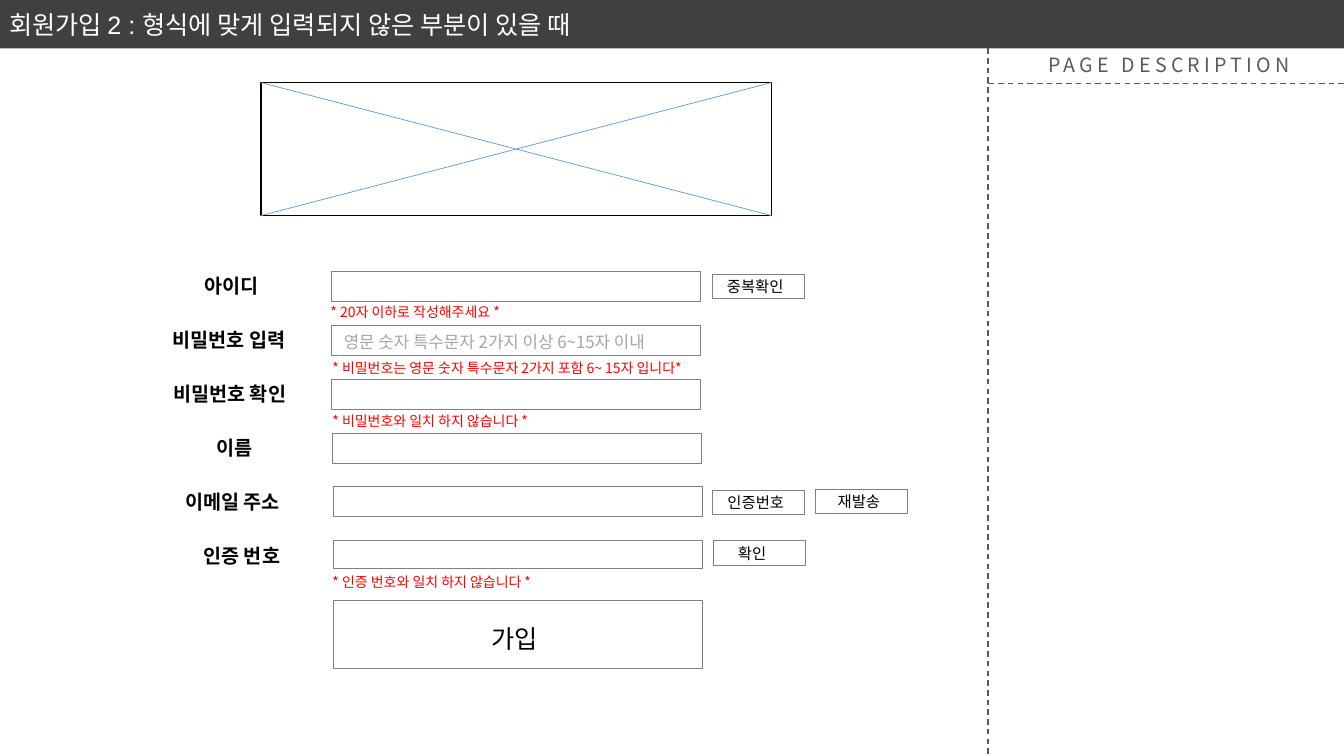
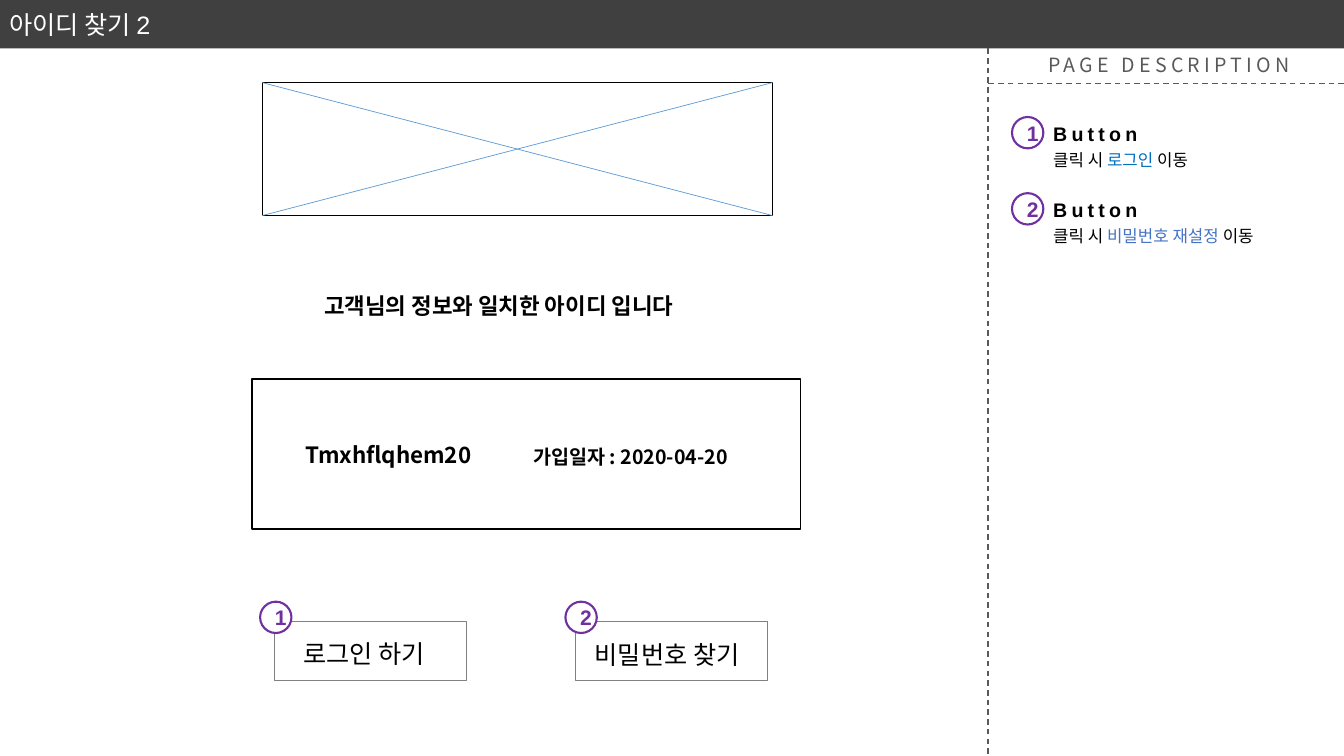
"""Build two wireframe slides: sign-up errors and the found-ID page."""
from lxml.etree import SubElement
from pptx import Presentation
from pptx.dml.color import RGBColor as RGB
from pptx.enum.dml import MSO_LINE
from pptx.enum.shapes import MSO_CONNECTOR, MSO_SHAPE
from pptx.enum.text import MSO_ANCHOR, MSO_AUTO_SIZE, PP_ALIGN
from pptx.oxml.ns import qn
from pptx.util import Pt

WHITE, BLACK = RGB(255, 255, 255), RGB(0, 0, 0)
BAND, RULE, BORDER = RGB(0x40, 0x40, 0x40), RGB(0x59, 0x59, 0x59), RGB(0x80, 0x80, 0x80)
CROSS, HINT, ERROR = RGB(0x5B, 0x9B, 0xD5), RGB(0xA6, 0xA6, 0xA6), RGB(255, 0, 0)
PURPLE, LINK, LINK_ALT = RGB(0x70, 0x30, 0xA0), RGB(0, 0x70, 0xC0), RGB(0x44, 0x72, 0xC4)
KOREAN, LATIN = "Noto Sans CJK KR", "Arial"

W, H = 960, 540
BAND_H, SIDE_X, SIDE_Y = 34.5, 705.6, 59.6
ROW_Y, ROW_STEP = 193.7, 38.5
FIELD_W, BUTTON_W, BUTTON_H, BADGE = 263.5, 65.7, 17.6, 22.4

SIGN_UP = "회원가입 2 : 형식에 맞게 입력되지 않은 부분이 있을 때"
# label, label x, field x, field height, error (text, x, offset), buttons (text, x, offset, indent)
ROWS = [
    ("아이디", 139, 237, 21.8, ("* 20자 이하로 작성해주세요 *", 229, 19.4),
     [("중복확인", 509, 2, 10.2)]),
    ("비밀번호 입력", 116, 237, 21.8,
     ("* 비밀번호는 영문 숫자 특수문자 2가지 포함 6~ 15자 입니다*", 230.4, 20.9), []),
    ("비밀번호 확인", 116.7, 237, 21.8, ("* 비밀번호와 일치 하지 않습니다 *", 230.4, 20.3), []),
    ("이름", 147.6, 237.7, 21.8, None, []),
    ("이메일 주소", 125.2, 238.3, 21.3, None,
     [("인증번호", 509, 2.2, 10.6), ("재발송", 582.4, 1.5, 15.9)]),
    ("인증 번호", 138.2, 238.3, 20, ("* 인증 번호와 일치 하지 않습니다 *", 230.4, 20),
     [("확인", 509.5, 0, 17.6)]),
]
FIELD_HINT = "영문 숫자 특수문자 2가지 이상 6~15자 이내"

FIND_ID = "아이디 찾기 2"
FOUND = [
    ("고객님의 정보와 일치한 아이디 입니다", 224.6, 205.2, 16),
    ("Tmxhflqhem20", 211, 311.8, 16),
    ("가입일자 : 2020-04-20", 373.7, 314, 14),
]
# button text, x, indent, drop, badge x
ACTIONS = [("로그인 하기", 196, 20.6, 1.8, 185.8), ("비밀번호 찾기", 411, 13.8, 2.3, 403.9)]
DESCRIPTIONS = [("로그인 ", LINK), ("비밀번호 재설정 ", LINK_ALT)]


def style(r, size, color, font=KOREAN, bold=False, spacing=0):
    r.font.size, r.font.bold, r.font.name = Pt(size), bold, font
    r.font.color.rgb = color
    rpr = r.font._element
    SubElement(rpr, qn("a:ea")).set("typeface", KOREAN)
    if spacing:
        rpr.set("spc", str(spacing * 100))


def set_insets(tf, left=0, top=0, right=0, bottom=0):
    tf.margin_left, tf.margin_top = Pt(left), Pt(top)
    tf.margin_right, tf.margin_bottom = Pt(right), Pt(bottom)


def add_text(slide, parts, x, y, w, size, color=BLACK, **look):
    sp = slide.shapes.add_textbox(Pt(x), Pt(y), Pt(w), Pt(size * 1.75))
    tf = sp.text_frame
    tf.word_wrap = True
    parts = [(parts, color)] if isinstance(parts, str) else parts
    for text, tint in parts:
        r = tf.paragraphs[0].add_run()
        r.text = text
        style(r, size, tint, **look)


def add_box(slide, x, y, w, h, line=BORDER, weight=0.5, kind=MSO_SHAPE.RECTANGLE):
    sp = slide.shapes.add_shape(kind, Pt(x), Pt(y), Pt(w), Pt(h))
    sp.shadow.inherit = False
    sp.fill.background()
    sp.line.color.rgb, sp.line.width = line, Pt(weight)
    return sp


def fill_text(sp, text, size, color=BLACK, indent=0, drop=0, align=PP_ALIGN.LEFT, **look):
    tf = sp.text_frame
    tf.text = text
    tf.word_wrap = True
    tf.vertical_anchor = MSO_ANCHOR.MIDDLE
    set_insets(tf, indent, 2 * drop)
    p = tf.paragraphs[0]
    p.alignment = align
    style(p.runs[0], size, color, **look)


def add_line(slide, x1, y1, x2, y2, color, weight, dashed=False):
    cx = slide.shapes.add_connector(MSO_CONNECTOR.STRAIGHT, Pt(x1), Pt(y1), Pt(x2), Pt(y2))
    cx.line.color.rgb, cx.line.width = color, Pt(weight)
    if dashed:
        cx.line.dash_style = MSO_LINE.DASH
    SubElement(cx._element.spPr, qn("a:effectLst"))


def add_badge(slide, number, x, y):
    sp = add_box(slide, x, y, BADGE, BADGE, PURPLE, 1.5, MSO_SHAPE.OVAL)
    sp.fill.solid()
    sp.fill.fore_color.rgb = WHITE
    fill_text(sp, str(number), 15, PURPLE, 7.2, align=PP_ALIGN.CENTER, font=LATIN, bold=True)
    sp.text_frame.word_wrap = False


def add_image_frame(slide, x, y=59, w=364.5, h=95):
    add_box(slide, x, y, w, h, BLACK, 1)
    add_line(slide, x, y, x + w, y + h, CROSS, 0.5)
    add_line(slide, x, y + h, x + w, y, CROSS, 0.5)


def add_page(prs, title, frame_x):
    slide = prs.slides.add_slide(prs.slide_layouts[5])
    sp = slide.shapes.title
    sp.left, sp.top, sp.width, sp.height = Pt(0), Pt(0), Pt(W), Pt(BAND_H)
    sp.fill.solid()
    sp.fill.fore_color.rgb = BAND
    fill_text(sp, title, 18, WHITE, 6.5, font=LATIN)
    sp.text_frame.auto_size = MSO_AUTO_SIZE.NONE
    add_line(slide, SIDE_X, BAND_H, SIDE_X, H, RULE, 1, True)
    add_text(slide, "PAGE DESCRIPTION", 741.6, BAND_H, 200, 14, RULE, spacing=3)
    add_line(slide, W, SIDE_Y, SIDE_X, SIDE_Y, RULE, 1, True)
    add_image_frame(slide, frame_x)
    return slide


def build_sign_up(prs):
    slide = add_page(prs, SIGN_UP, 186.5)
    for i, (label, label_x, field_x, field_h, error, buttons) in enumerate(ROWS):
        y = ROW_Y + i * ROW_STEP
        add_text(slide, label, label_x, y - 1.4, 109, 14, bold=True)
        field = add_box(slide, field_x, y, FIELD_W, field_h)
        if i == 1:
            fill_text(field, FIELD_HINT, 12, HINT, 8.6, 1.2)
        if error:
            text, x, offset = error
            add_text(slide, text, x, y + offset, 305, 10, ERROR)
        for text, x, offset, indent in buttons:
            fill_text(add_box(slide, x, y + offset, BUTTON_W, BUTTON_H), text, 11, indent=indent)
    join = add_box(slide, 238.3, 429.2, FIELD_W, 48.3)
    fill_text(join, "가입", 18, indent=113, drop=2.5)


def build_find_id(prs):
    slide = add_page(prs, FIND_ID, 187.3)
    add_box(slide, 180, 270.8, 392, 107.2, BLACK, 1)
    for text, x, y, size in FOUND:
        add_text(slide, text, x, y, 310, size, bold=True)
    for i, (text, x, indent, drop, badge_x) in enumerate(ACTIONS, 1):
        fill_text(add_box(slide, x, 443.6, 137, 42.5), text, 18, indent=indent, drop=drop)
        add_badge(slide, i, badge_x, 429.8)
    for i, (target, color) in enumerate(DESCRIPTIONS):
        y = 83.6 + i * 54.4
        add_badge(slide, i + 1, 722.9, y)
        add_text(slide, "Button", 745.2, y, 100, 14, font=LATIN, bold=True, spacing=3)
        parts = [("클릭 시 ", BLACK), (target, color), ("이동", BLACK)]
        add_text(slide, parts, 745.2, y + 19.8, 200, 12, font=LATIN)


def main():
    prs = Presentation()
    prs.slide_width, prs.slide_height = Pt(W), Pt(H)
    build_sign_up(prs)
    build_find_id(prs)
    prs.save("out.pptx")


if __name__ == "__main__":
    main()
